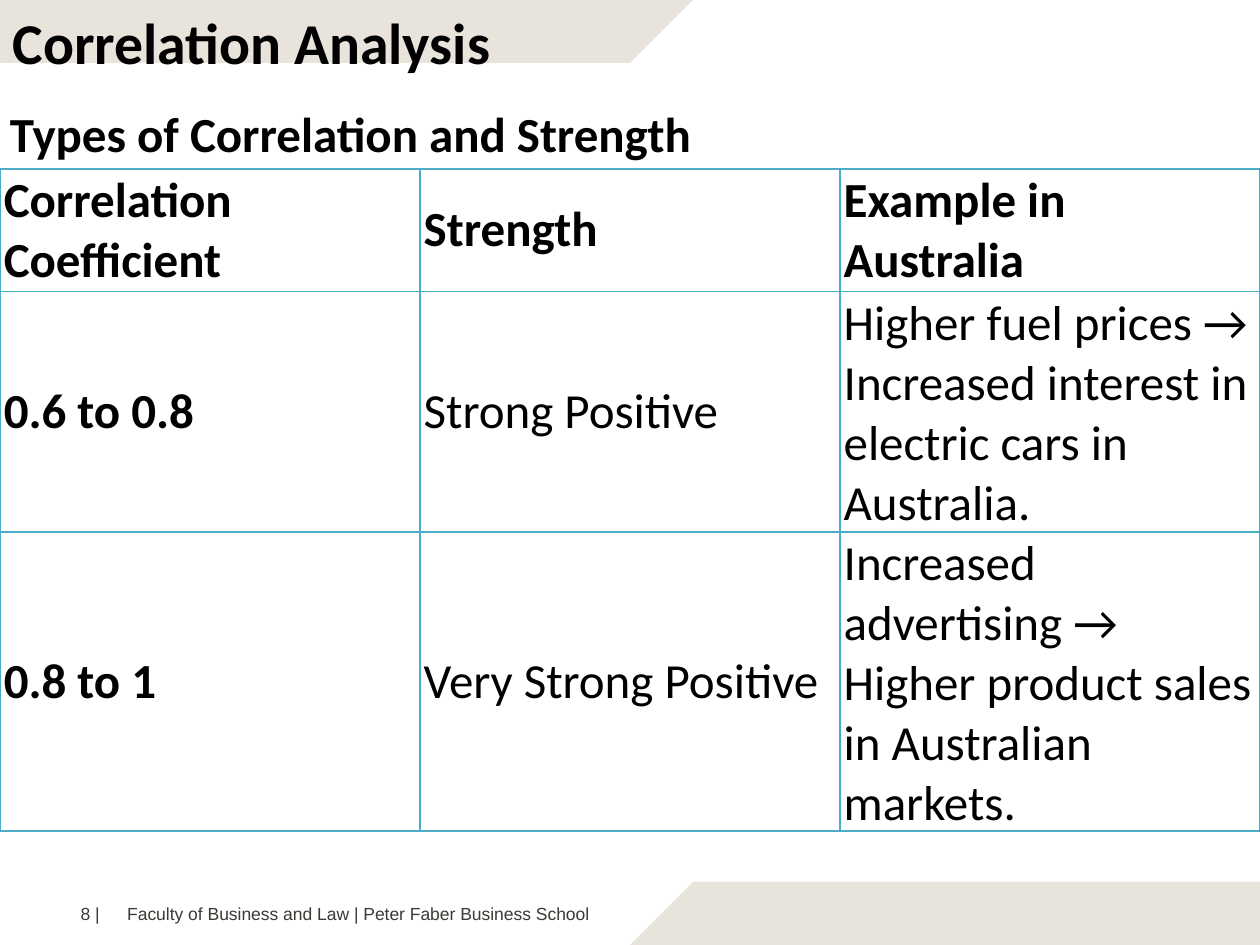
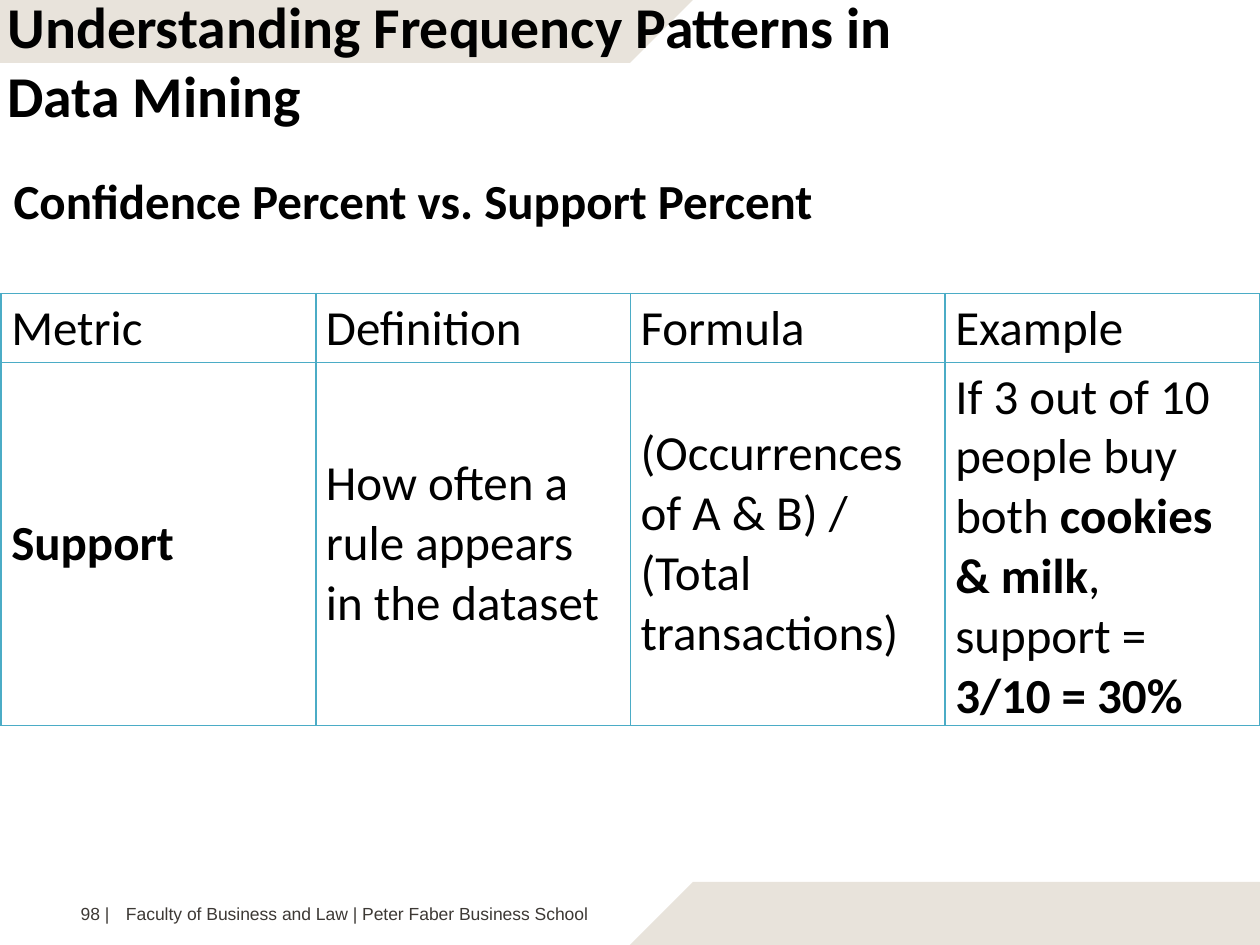
"""Build two slides on correlation strength and frequency patterns in data mining."""
from lxml.etree import SubElement
from pptx import Presentation
from pptx.dml.color import RGBColor
from pptx.enum.text import MSO_ANCHOR, MSO_AUTO_SIZE, PP_ALIGN
from pptx.oxml.ns import qn
from pptx.util import Inches, Pt

COLORS = {"band": "E8E3DB", "footer": "3D3935", "text": "000000", "border": "4BACC6", "cell": "FFFFFF"}
FOOTER = "Faculty of Business and Law | Peter Faber Business School"
BANDS = [
    [(0, 0), (5.5, 0), (5, 0.5), (0, 0.5)],
    [(5.5, 7), (10, 7), (10, 7.5), (5, 7.5)],
]
SLIDES = [
    {
        "title": "Correlation Analysis",
        "title_box": (0, 0, 4.68, 0.66),
        "title_anchor": MSO_ANCHOR.TOP,
        "subtitle": "Types of Correlation and Strength",
        "subtitle_box": (-0.02, 0.77, 5.7, 0.57),
        "footers": [(0.64, "8 |"), (1.01, FOOTER)],
        "table_box": (0, 1.34, 10),
        "row_heights": [0.97, 1.9, 2.37],
        "margins": (0.03, 0.02),
        "rows": [
            ["**Correlation Coefficient**", "**Strength**", "**Example in Australia**"],
            ["**0.6 to 0.8**", "Strong Positive",
             "Higher fuel prices → Increased interest in electric cars in Australia."],
            ["**0.8 to 1**", "Very Strong Positive",
             "Increased advertising → Higher product sales in Australian markets."],
        ],
    },
    {
        "title": "Understanding Frequency Patterns in Data Mining",
        "title_box": (-0.04, -0.13, 7.79, 1.21),
        "title_anchor": MSO_ANCHOR.MIDDLE,
        "subtitle": "Confidence Percent vs. Support Percent",
        "subtitle_box": (0.01, 1.3, 6.66, 0.57),
        "footers": [(0.64, f"98 |\t{FOOTER}")],
        "table_box": (0.01, 2.33, 9.99),
        "row_heights": [0.54, 2.88],
        "margins": (0.08, 0.04),
        "rows": [
            ["Metric", "Definition", "Formula", "Example"],
            ["**Support**", "How often a rule appears in the dataset",
             "(Occurrences of A & B) / (Total transactions)",
             "If 3 out of 10 people buy both **cookies & milk**, support = **3/10 = 30%**"],
        ],
    },
]


def write(frame, text, size=28, font="Calibri", color="text", anchor=MSO_ANCHOR.MIDDLE):
    """Fill a frame with text, setting the parts between double asterisks in bold."""
    frame.vertical_anchor = anchor
    para = frame.paragraphs[0]
    para.alignment = PP_ALIGN.LEFT
    for index, part in enumerate(text.split("**")):
        if part:
            span = para.add_run()
            span.text = part
            span.font.name = font
            span.font.size = Pt(size)
            span.font.bold = index % 2 == 1
            span.font.color.rgb = RGBColor.from_string(COLORS[color])
    return para


def add_borders(cell):
    """Draw a thin line on all four sides of a table cell."""
    properties = cell._tc.get_or_add_tcPr()
    for side in ("a:lnL", "a:lnR", "a:lnT", "a:lnB"):
        line = SubElement(properties, qn(side), w=str(Pt(1)))
        fill = SubElement(line, qn("a:solidFill"))
        SubElement(fill, qn("a:srgbClr"), val=COLORS["border"])


deck = Presentation()
deck.slide_width, deck.slide_height = Inches(10), Inches(7.5)
layout = deck.slide_layouts[5]
pages = [deck.slides.add_slide(layout) for slide in SLIDES]

for outline in BANDS:
    corners = [(Inches(x), Inches(y)) for x, y in outline]
    builder = pages[0].shapes.build_freeform(*corners[0])
    builder.add_line_segments(corners[1:])
    band = builder.convert_to_shape()
    band.shadow.inherit = False
    band.fill.solid()
    band.fill.fore_color.rgb = RGBColor.from_string(COLORS["band"])
    band.line.fill.background()
    layout.shapes.element.append(band.element)

for page, slide in zip(pages, SLIDES):
    title = page.shapes.title
    title.left, title.top, title.width, title.height = map(Inches, slide["title_box"])
    title.text_frame.auto_size = MSO_AUTO_SIZE.NONE
    write(title.text_frame, f"**{slide['title']}**", size=33, anchor=slide["title_anchor"])

    subtitle = page.shapes.add_textbox(*map(Inches, slide["subtitle_box"]))
    subtitle.text_frame.word_wrap = False
    write(subtitle.text_frame, f"**{slide['subtitle']}**")

    for left, text in slide["footers"]:
        footer = page.shapes.add_textbox(Inches(left), Inches(7.17), Inches(4.68 - left), Inches(0.18))
        frame = footer.text_frame
        frame.word_wrap = True
        frame.margin_left = frame.margin_right = frame.margin_top = frame.margin_bottom = 0
        para = write(frame, text, size=10, font="Arial", color="footer", anchor=MSO_ANCHOR.TOP)
        if "\t" in text:
            tabs = SubElement(para._p.get_or_add_pPr(), qn("a:tabLst"))
            SubElement(tabs, qn("a:tab"), pos=str(Inches(0.36)), algn="l")

    rows, heights = slide["rows"], slide["row_heights"]
    left, top, width = slide["table_box"]
    table = page.shapes.add_table(
        len(rows), len(rows[0]), Inches(left), Inches(top), Inches(width), Inches(sum(heights))
    ).table
    table.first_row = table.horz_banding = False
    side_margin, end_margin = map(Inches, slide["margins"])
    for row, height, texts in zip(table.rows, heights, rows):
        row.height = Inches(height)
        for cell, text in zip(row.cells, texts):
            add_borders(cell)
            cell.fill.solid()
            cell.fill.fore_color.rgb = RGBColor.from_string(COLORS["cell"])
            cell.margin_left = cell.margin_right = side_margin
            cell.margin_top = cell.margin_bottom = end_margin
            write(cell.text_frame, text)
            cell.vertical_anchor = MSO_ANCHOR.MIDDLE

deck.save("out.pptx")
